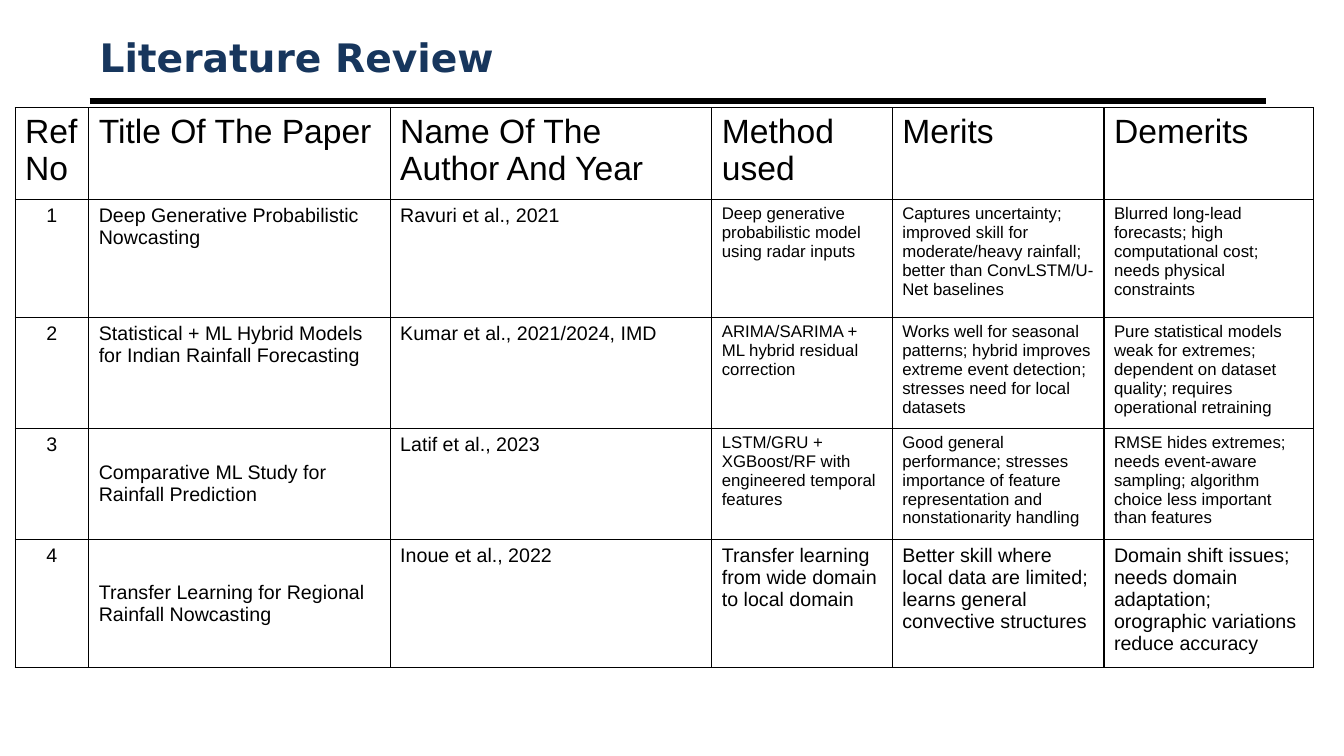
from lxml.etree import SubElement as Sub
from pptx import Presentation
from pptx.dml.color import RGBColor
from pptx.enum.shapes import MSO_CONNECTOR as Link
from pptx.enum.text import MSO_ANCHOR as Anchor, PP_ALIGN as Align
from pptx.oxml.ns import qn
from pptx.util import Pt

SCALE = 9144
BLACK, NAVY = "000000", "17365D"
COLS = [73, 299, 319, 179, 210, 208]
ROWS = [91, 117, 107, 107, 123]
HEAD = ["Ref No", "Title Of The Paper", "Name Of The Author And Year",
        "Method used", "Merits", "Demerits"]
PAPERS = [
    ["1", "Deep Generative Probabilistic Nowcasting", "Ravuri et al., 2021",
     "Deep generative probabilistic model using radar inputs",
     "Captures uncertainty; improved skill for moderate/heavy rainfall; "
     "better than ConvLSTM/U-Net baselines",
     "Blurred long-lead forecasts; high computational cost; needs physical constraints"],
    ["2", "Statistical + ML Hybrid Models for Indian Rainfall Forecasting",
     "Kumar et al., 2021/2024, IMD",
     "ARIMA/SARIMA + ML hybrid residual correction",
     "Works well for seasonal patterns; hybrid improves extreme event detection; "
     "stresses need for local datasets",
     "Pure statistical models weak for extremes; dependent on dataset quality; "
     "requires operational retraining"],
    ["3", "Comparative ML Study for Rainfall Prediction", "Latif et al., 2023",
     "LSTM/GRU + XGBoost/RF with engineered temporal features",
     "Good general performance; stresses importance of feature representation "
     "and nonstationarity handling",
     "RMSE hides extremes; needs event-aware sampling; algorithm choice "
     "less important than features"],
    ["4", "Transfer Learning for Regional Rainfall Nowcasting", "Inoue et al., 2022",
     "Transfer learning from wide domain to local domain",
     "Better skill where local data are limited; learns general convective structures",
     "Domain shift issues; needs domain adaptation; orographic variations reduce accuracy"],
]


def px(num):
    return num * SCALE


def paint(code):
    return RGBColor.from_string(code)


def write(frame, text, size, face="Arial", color=BLACK, bold=False, align=Align.LEFT):
    frame.word_wrap = True
    para = frame.paragraphs[0]
    para.alignment = align
    run = para.add_run()
    run.text = text
    font = run.font
    font.name, font.size, font.bold = face, Pt(size), bold
    font.color.rgb = paint(color)


def edge(cell):
    props = cell._tc.get_or_add_tcPr()
    for side in ("lnL", "lnR", "lnT", "lnB"):
        line = Sub(props, qn("a:" + side), w=str(Pt(1)))
        fill = Sub(line, qn("a:solidFill"))
        Sub(fill, qn("a:srgbClr"), val=BLACK)
    cell.fill.background()


def header(slide, left, top, width, height):
    rule = slide.shapes.add_connector(
        Link.STRAIGHT, px(left), px(top + 70), px(left + width), px(top + 70))
    rule.line.color.rgb = paint(BLACK)
    rule.line.width = Pt(4.5)
    Sub(rule._element.spPr, qn("a:effectLst"))
    box = slide.shapes.add_textbox(px(left), px(top), px(width), px(height))
    box.text_frame.vertical_anchor = Anchor.MIDDLE
    write(box.text_frame, "Literature Review", 28, "DejaVu Sans", NAVY, True)


def review(slide, left, top):
    table = slide.shapes.add_table(
        len(ROWS), len(COLS), px(left), px(top), px(sum(COLS)), px(sum(ROWS))).table
    table.first_row = table.horz_banding = False
    for col, width in zip(table.columns, COLS):
        col.width = px(width)
    for row, height in zip(table.rows, ROWS):
        row.height = px(height)
    for r, texts in enumerate([HEAD] + PAPERS):
        for c, text in enumerate(texts):
            cell = table.cell(r, c)
            edge(cell)
            size = 24 if r == 0 else 12 if c > 2 and r < 4 else 14
            align = Align.CENTER if r and c == 0 else Align.LEFT
            write(cell.text_frame, text, size, align=align)
            cell.vertical_anchor = Anchor.MIDDLE if r > 2 and c == 1 else Anchor.TOP


def main():
    deck = Presentation()
    deck.slide_width, deck.slide_height = px(1333), px(750)
    slide = deck.slides.add_slide(deck.slide_layouts[6])
    header(slide, 89, 30, 1167, 53)
    review(slide, 15, 107)
    deck.save("out.pptx")


if __name__ == "__main__":
    main()
